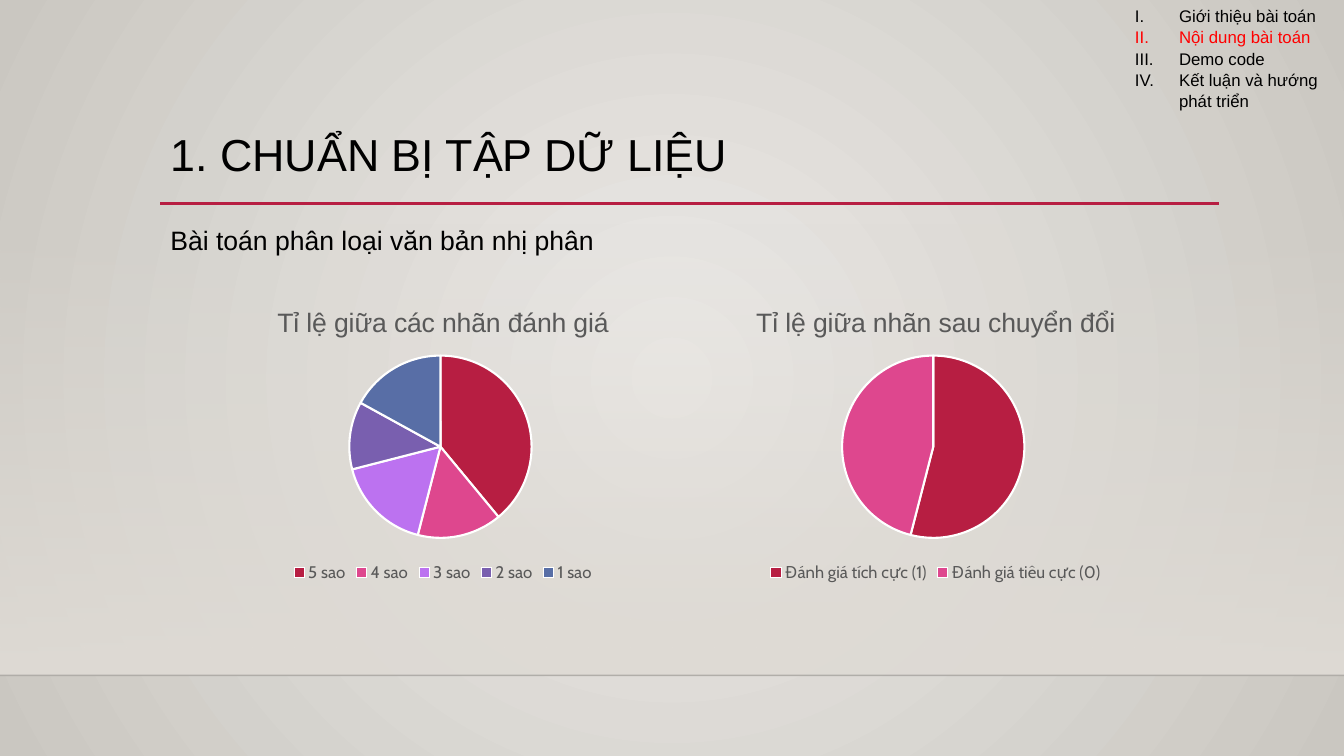
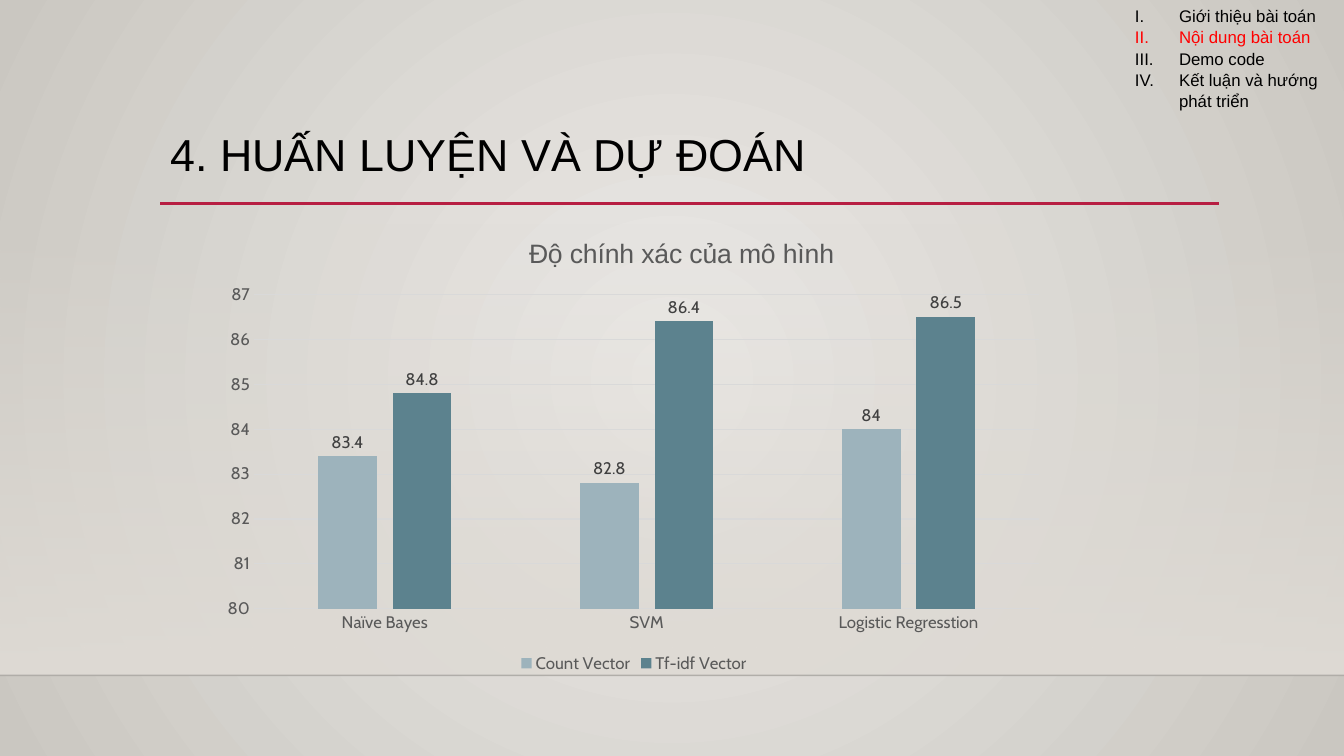
import pptx
import pptx.chart.data
import pptx.dml.color
import pptx.enum.chart
import pptx.enum.shapes
import pptx.enum.text
import pptx.oxml.ns
import pptx.util
from lxml import etree

Pt = pptx.util.Pt
RGBColor = pptx.dml.color.RGBColor
ChartType = pptx.enum.chart.XL_CHART_TYPE
qn = pptx.oxml.ns.qn

BLACK = RGBColor(0x00, 0x00, 0x00)
WHITE = RGBColor(0xFF, 0xFF, 0xFF)
RED = RGBColor(0xFF, 0x00, 0x00)
CRIMSON = RGBColor(0xB7, 0x1E, 0x42)
PINK = RGBColor(0xDE, 0x47, 0x8E)
VIOLET = RGBColor(0xBC, 0x72, 0xF0)
PURPLE = RGBColor(0x79, 0x5F, 0xAF)
BLUE = RGBColor(0x58, 0x6E, 0xA6)
PALE_TEAL = RGBColor(0x9D, 0xB3, 0xBC)
TEAL = RGBColor(0x5C, 0x82, 0x8E)
GRAY = RGBColor(0x59, 0x59, 0x59)
DARK_GRAY = RGBColor(0x40, 0x40, 0x40)
GRID_GRAY = RGBColor(0xD9, 0xD9, 0xD9)
BACKGROUND_CENTER = RGBColor(0xEC, 0xEA, 0xE7)
BACKGROUND_EDGE = RGBColor(0xCA, 0xC7, 0xC1)
BAND = RGBColor(0xDF, 0xDB, 0xD5)

WIDTH, HEIGHT = 960, 540
LEFT, RIGHT = 114.5, 871
FLOOR = 482.4
PIE_COLORS = [CRIMSON, PINK, VIOLET, PURPLE, BLUE]
PIE_PLOT = {"x": 0.31, "y": 0.22, "w": 0.37, "h": 0.62}
COLUMN_PLOT = {"x": 0.05, "y": 0.16, "w": 0.93, "h": 0.69}
SECTIONS = ["Giới thiệu bài toán", "Nội dung bài toán", "Demo code", "Kết luận và hướng phát triển"]
CURRENT_SECTION = SECTIONS[1]

TITLE_FONT = {"name": "Arial", "size": Pt(32), "bold": False}
TEXT_FONT = {"name": "Arial", "size": Pt(19), "bold": False}
AGENDA_FONT = {"name": "Arial", "size": Pt(12), "bold": False}
CHART_FONT = {"name": "Cabin", "size": Pt(12), "bold": False}


def set_attributes(target, formats):
    """Set each named attribute of the target."""
    for name, value in formats.items():
        setattr(target, name, value)


def style_font(font, formats, color):
    """Apply a font format and a colour."""
    set_attributes(font, formats)
    font.color.rgb = color


def set_alpha(shape, percent):
    """Make the first explicit colour of a shape translucent."""
    color = shape.element.xpath("./p:spPr//a:srgbClr")[0]
    etree.SubElement(color, qn("a:alpha"), val=str(percent * 1000))


def fill_gradient(fill, *colors):
    """Fill with a gradient running through two colours."""
    fill.gradient()
    for stop, color in zip(fill.gradient_stops, colors):
        stop.color.rgb = color


def add_rule(slide, left, right, top, color, weight):
    """Draw a horizontal line without shadow."""
    line = slide.shapes.add_connector(
        pptx.enum.shapes.MSO_CONNECTOR.STRAIGHT, Pt(left), Pt(top), Pt(right), Pt(top))
    line.line.color.rgb = color
    line.line.width = Pt(weight)
    etree.SubElement(line.element.spPr, qn("a:effectLst"))
    return line


def add_band(slide):
    """Draw the wall band that fades in towards the floor."""
    band = slide.shapes.add_shape(
        pptx.enum.shapes.MSO_SHAPE.RECTANGLE, 0, Pt(159), Pt(WIDTH), Pt(FLOOR - 159))
    fill_gradient(band.fill, BAND, BAND)
    band.fill.gradient_angle = 270
    band.line.fill.background()
    band.shadow.inherit = False
    set_alpha(band, 0)
    return band


def decorate_master(master, slide):
    """Give the master its radial background, band and rules."""
    fill_gradient(master.background.fill, BACKGROUND_CENTER, BACKGROUND_EDGE)
    linear = master.element.xpath("./p:cSld/p:bg//a:lin")[0]
    radial = etree.Element(qn("a:path"), {"path": "circle"})
    etree.SubElement(radial, qn("a:fillToRect"), dict.fromkeys("ltrb", "50000"))
    linear.getparent().replace(linear, radial)

    floor_line = add_rule(slide, 0, WIDTH, FLOOR, BLACK, 1)
    set_alpha(floor_line, 20)
    title_rule = add_rule(slide, LEFT, RIGHT, 145.4, CRIMSON, 2.5)
    first_placeholder = master.placeholders[0].element
    for number, shape in enumerate([add_band(slide), floor_line, title_rule], 101):
        shape.element.xpath(".//p:cNvPr")[0].set("id", str(number))
        first_placeholder.addprevious(shape.element)


def place_text(placeholder, box, anchor=pptx.enum.text.MSO_ANCHOR.TOP):
    """Move a placeholder and prepare its text frame."""
    set_attributes(placeholder, dict(zip(("left", "top", "width", "height"), map(Pt, box))))
    frame = placeholder.text_frame
    set_attributes(frame, {
        "word_wrap": True, "auto_size": pptx.enum.text.MSO_AUTO_SIZE.NONE,
        "vertical_anchor": anchor})
    return frame


def format_paragraph(paragraph, font, color, line_spacing, indent=0, bullet="a:buNone", **bullet_values):
    """Format a left-aligned paragraph and its bullet."""
    set_attributes(paragraph, {
        "alignment": pptx.enum.text.PP_ALIGN.LEFT, "line_spacing": line_spacing,
        "space_before": Pt(0), "space_after": Pt(0)})
    style_font(paragraph.runs[0].font, font, color)
    properties = paragraph._p.get_or_add_pPr()
    properties.set("marL", str(Pt(indent)))
    properties.set("indent", str(-Pt(indent)))
    etree.SubElement(properties, qn(bullet), bullet_values)


def write_title(slide, text):
    """Write the slide title."""
    frame = place_text(slide.shapes.title, (LEFT, 89.3, 756, 45.4), pptx.enum.text.MSO_ANCHOR.MIDDLE)
    frame.text = text
    format_paragraph(frame.paragraphs[0], TITLE_FONT, BLACK, 0.9)


def write_subtitle(placeholder, text):
    """Write the line under the title rule."""
    frame = place_text(placeholder, (LEFT, 155.5, 527, 30.2))
    frame.text = text
    format_paragraph(frame.paragraphs[0], TEXT_FONT, BLACK, 1.05)


def write_agenda(placeholder):
    """List the sections and highlight the current one."""
    frame = place_text(placeholder, (803.5, 0, 156.5, 80))
    frame.text = "\n".join(SECTIONS)
    for paragraph in frame.paragraphs:
        color = RED if paragraph.text == CURRENT_SECTION else BLACK
        format_paragraph(paragraph, AGENDA_FONT, color, 1.05, 31.5, "a:buAutoNum", type="romanUcPeriod")


def set_layout(parent, position, values):
    """Place a chart part by fractions of the chart area."""
    for old_layout in parent.findall(qn("c:layout")):
        parent.remove(old_layout)
    layout = etree.Element(qn("c:layout"))
    manual = etree.SubElement(layout, qn("c:manualLayout"))
    if "w" in values:
        etree.SubElement(manual, qn("c:layoutTarget"), val="inner")
    for mode in ("xMode", "yMode"):
        etree.SubElement(manual, qn("c:" + mode), val="edge")
    for name, value in values.items():
        etree.SubElement(manual, qn("c:" + name), val=str(value))
    parent.insert(position, layout)


def add_chart(slide, chart_type, box, title, categories, series, plot_layout):
    """Add a chart with a title and a legend at the bottom."""
    data = pptx.chart.data.CategoryChartData()
    data.categories = categories
    for name, values in series.items():
        data.add_series(name, values)
    chart = slide.shapes.add_chart(chart_type, *map(Pt, box), data).chart
    style_font(chart.font, CHART_FONT, GRAY)
    chart.has_title = True
    chart.chart_title.include_in_layout = False
    chart.chart_title.text_frame.text = title
    style_font(chart.chart_title.text_frame.paragraphs[0].runs[0].font, TEXT_FONT, GRAY)
    chart.has_legend = True
    set_attributes(chart.legend, {
        "position": pptx.enum.chart.XL_LEGEND_POSITION.BOTTOM, "include_in_layout": False})
    style_font(chart.legend.font, CHART_FONT, GRAY)
    set_layout(chart.element.xpath(".//c:plotArea")[0], 0, plot_layout)
    return chart


def add_pie(slide, left, title, shares):
    """Add a pie chart with white-edged slices."""
    chart = add_chart(slide, ChartType.PIE, (left, 206.6, 352, 212.4), title,
                      list(shares), {"Series 1": list(shares.values())}, PIE_PLOT)
    for index, color in enumerate(PIE_COLORS[:len(shares)]):
        slice_format = chart.plots[0].series[0].points[index].format
        slice_format.fill.solid()
        slice_format.fill.fore_color.rgb = color
        slice_format.line.color.rgb = WHITE
        slice_format.line.width = Pt(1.5)


def add_columns(slide, title, categories, series):
    """Add the clustered column chart with value labels."""
    chart = add_chart(slide, ChartType.COLUMN_CLUSTERED, (151.2, 158.4, 603.4, 325.4),
                      title, categories, series, COLUMN_PLOT)
    set_layout(chart.chart_title.element, 1, {"x": 0.37, "y": 0.02})
    plot = chart.plots[0]
    set_attributes(plot, {
        "gap_width": 219, "overlap": -27, "vary_by_categories": False, "has_data_labels": True})
    set_attributes(plot.data_labels, {
        "show_value": True, "position": pptx.enum.chart.XL_LABEL_POSITION.OUTSIDE_END})
    style_font(plot.data_labels.font, CHART_FONT, DARK_GRAY)
    for column_series, color in zip(plot.series, (PALE_TEAL, TEAL)):
        column_series.format.fill.solid()
        column_series.format.fill.fore_color.rgb = color
    no_tick = pptx.enum.chart.XL_TICK_MARK.NONE
    for axis in (chart.category_axis, chart.value_axis):
        set_attributes(axis, {"major_tick_mark": no_tick, "minor_tick_mark": no_tick})
        style_font(axis.tick_labels.font, CHART_FONT, GRAY)
    set_attributes(chart.value_axis, {
        "minimum_scale": 80, "maximum_scale": 87, "major_unit": 1, "has_major_gridlines": True})
    chart.value_axis.format.line.fill.background()
    for line in (chart.category_axis.format.line, chart.value_axis.major_gridlines.format.line):
        line.color.rgb = GRID_GRAY
        line.width = Pt(0.75)


def build_data_slide(presentation):
    """Build the slide on preparing the data set."""
    slide = presentation.slides.add_slide(presentation.slide_layouts.get_by_name("Two Content"))
    write_title(slide, "1. CHUẨN BỊ TẬP DỮ LIỆU")
    write_subtitle(slide.placeholders[1], "Bài toán phân loại văn bản nhị phân")
    write_agenda(slide.placeholders[2])
    add_pie(slide, 140.4, "Tỉ lệ giữa các nhãn đánh giá",
            {"5 sao": 39, "4 sao": 15, "3 sao": 17, "2 sao": 12, "1 sao": 17})
    add_pie(slide, 492.4, "Tỉ lệ giữa nhãn sau chuyển đổi",
            {"Đánh giá tích cực (1)": 54, "Đánh giá tiêu cực (0)": 46})
    return slide


def build_training_slide(presentation):
    """Build the slide on training and prediction."""
    slide = presentation.slides.add_slide(presentation.slide_layouts.get_by_name("Title and Content"))
    write_title(slide, "4. HUẤN LUYỆN VÀ DỰ ĐOÁN")
    write_agenda(slide.placeholders[1])
    add_columns(slide, "Độ chính xác của mô hình",
                ["Naïve Bayes", "SVM", "Logistic Regresstion"],
                {"Count Vector": [83.4, 82.8, 84], "Tf-idf Vector": [84.8, 86.4, 86.5]})


def main():
    """Build and save the presentation."""
    presentation = pptx.Presentation()
    set_attributes(presentation, {"slide_width": Pt(WIDTH), "slide_height": Pt(HEIGHT)})
    data_slide = build_data_slide(presentation)
    decorate_master(presentation.slide_master, data_slide)
    build_training_slide(presentation)
    presentation.save("out.pptx")


if __name__ == "__main__":
    main()
